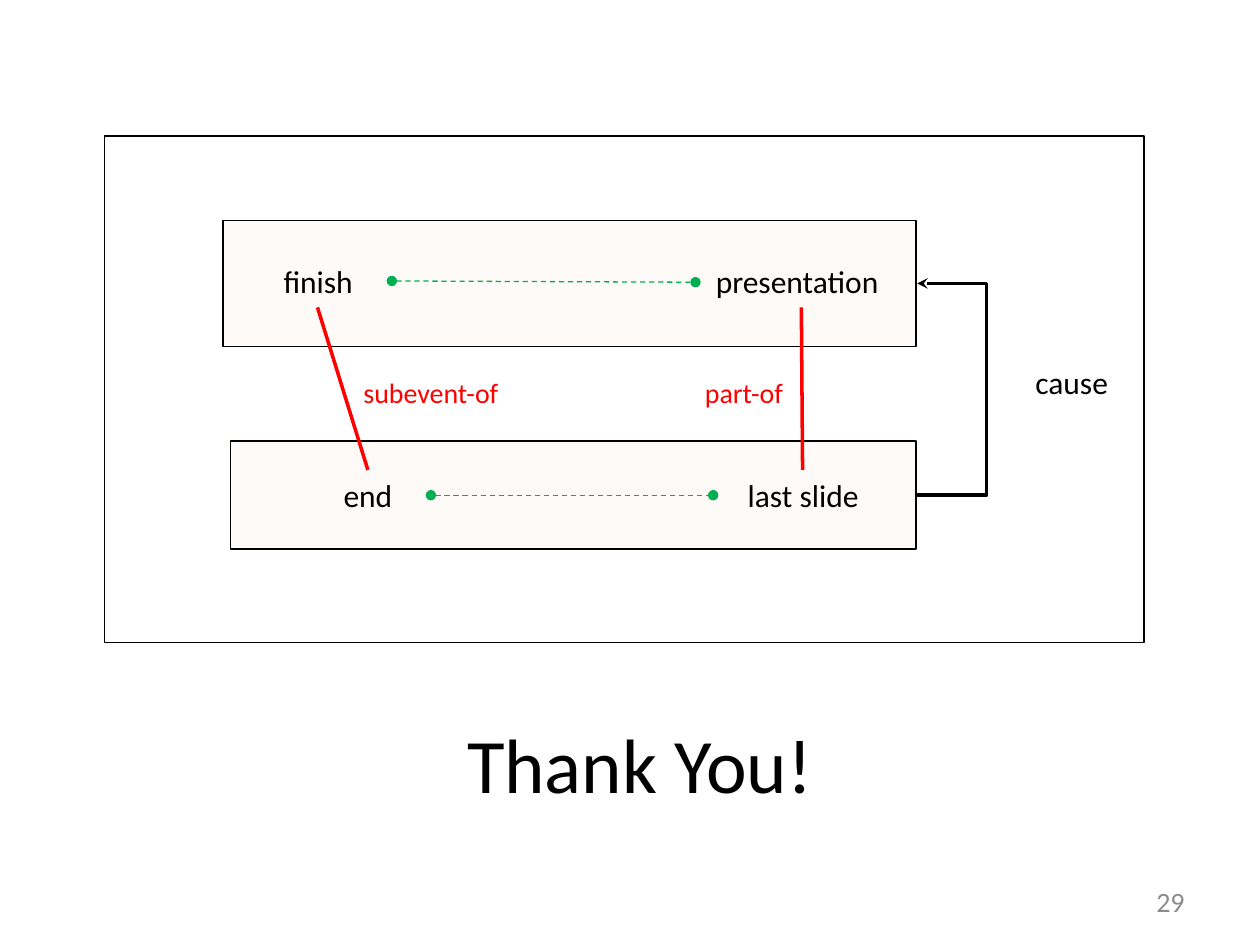
from dataclasses import dataclass

from lxml import etree
from pptx import Presentation
from pptx import util as u
from pptx.dml.color import RGBColor
from pptx.enum import dml, shapes, text
from pptx.oxml.ns import qn


@dataclass(frozen=True)
class Theme:
    """Colours, font and type sizes of the slide."""
    font: str = "Calibri"
    ink: str = "000000"
    paper: str = "FFFFFF"
    event_fill: str = "FDEADA"
    link: str = "00B050"
    relation: str = "FF0000"
    muted: str = "8C8C8C"
    title: int = 44
    term: int = 18
    small: int = 16


THEME = Theme()


def rgb(colour):
    """Turn a hex string into a colour."""
    return RGBColor.from_string(colour)


def add_label(slide, box, words, size=THEME.term, colour=THEME.ink,
              align=text.PP_ALIGN.CENTER, anchor=text.MSO_ANCHOR.TOP):
    """Place one line of text in a box of (left, top, width, height)."""
    frame = slide.shapes.add_textbox(*map(u.Inches, box)).text_frame
    frame.word_wrap = True
    frame.vertical_anchor = anchor
    paragraph = frame.paragraphs[0]
    paragraph.text = words
    paragraph.alignment = align
    paragraph.font.name = THEME.font
    paragraph.font.size = u.Pt(size)
    paragraph.font.color.rgb = rgb(colour)


def add_panel(slide, box, fill, opacity=100):
    """Draw an outlined process box, with its fill opacity in percent."""
    panel = slide.shapes.add_shape(
        shapes.MSO_SHAPE.FLOWCHART_PROCESS, *map(u.Inches, box))
    panel.shadow.inherit = False
    panel.fill.solid()
    panel.fill.fore_color.rgb = rgb(fill)
    panel.line.color.rgb = rgb(THEME.ink)
    panel.line.width = u.Pt(1)
    if opacity < 100:
        colour = panel.fill._xPr.find(".//" + qn("a:srgbClr"))
        etree.SubElement(colour, qn("a:alpha"), val=str(opacity * 1000))


def add_line(slide, start, end, colour, width, head=None, tail=None,
             dashed=False, kind=shapes.MSO_CONNECTOR.STRAIGHT):
    """Draw a connector with optional end marks and return it."""
    connector = slide.shapes.add_connector(
        kind, *map(u.Inches, (*start, *end)))
    connector.line.color.rgb = rgb(colour)
    connector.line.width = u.Pt(width)
    if dashed:
        connector.line.dash_style = dml.MSO_LINE.DASH
    outline = connector.line._get_or_add_ln()
    for tag, mark in (("a:headEnd", head), ("a:tailEnd", tail)):
        if mark:
            etree.SubElement(outline, qn(tag), type=mark)
    etree.SubElement(connector._element.spPr, qn("a:effectLst"))
    return connector


def add_event(slide, box, terms, link):
    """Draw an event box with its terms and the dashed link between them.

    Term boxes and link ends are measured from the event's top left corner.
    """
    left, top = box[:2]
    add_panel(slide, box, THEME.event_fill, opacity=20)
    for words, x, y, width in terms:
        add_label(slide, (left + x, top + y, width, 0.4), words)
    start, end = [(left + x, top + y) for x, y in link]
    add_line(slide, start, end, THEME.link, 0.75, "oval", "oval", dashed=True)


def add_relation(slide, start, end, label_box, words):
    """Draw a red line between two terms and name the relation."""
    add_line(slide, start, end, THEME.relation, 2)
    add_label(slide, label_box, words, THEME.small, THEME.relation)


def add_cause(slide, start, end, reach):
    """Draw the bent arrow that swings out to the right by reach."""
    arrow = add_line(slide, start, end, THEME.ink, 2, tail="stealth",
                     kind=shapes.MSO_CONNECTOR.ELBOW)
    geometry = arrow._element.spPr.find(qn("a:prstGeom"))
    guides = geometry.find(qn("a:avLst"))
    if guides is None:
        guides = etree.SubElement(geometry, qn("a:avLst"))
    bend = round(reach / (end[0] - start[0]) * 100000)
    etree.SubElement(guides, qn("a:gd"), name="adj1", fmla=f"val {bend}")


def add_diagram(slide, box):
    """Build the event diagram inside its frame."""
    left, top, width, height = box

    def at(x, y, *size):
        return (left + x, top + y, *size)

    add_panel(slide, box, THEME.paper)
    add_event(slide, at(1, 2.42, 5.44, 0.86),
              [("end", 0.59, 0.23, 1), ("last slide", 3.83, 0.23, 1.43)],
              [(1.59, 0.43), (3.83, 0.43)])
    add_event(slide, at(0.94, 0.67, 5.5, 1),
              [("finish", 0.17, 0.28, 1.17),
               ("presentation ", 3.75, 0.28, 1.67)],
              [(1.34, 0.48), (3.75, 0.49)])
    add_cause(slide, at(6.44, 2.85), at(6.45, 1.17), 0.57)
    add_label(slide, at(7.09, 1.75, 1.17, 0.4), "cause")
    add_relation(slide, at(1.69, 1.36), at(2.09, 2.65),
                 at(1.88, 1.85, 1.47, 0.37), "subevent-of ")
    add_relation(slide, at(5.54, 2.65), at(5.53, 1.36),
                 at(4.49, 1.85, 1.17, 0.37), "part-of")


def build():
    """Build and save the closing slide."""
    deck = Presentation()
    deck.slide_width, deck.slide_height = u.Inches(10), u.Inches(7.5)
    slide = deck.slides.add_slide(deck.slide_layouts[6])
    add_label(slide, (0.83, 5.25, 8.5, 1.61), "Thank You!", THEME.title,
              anchor=text.MSO_ANCHOR.MIDDLE)
    add_label(slide, (7.17, 6.95, 2.33, 0.4), "29", THEME.small, THEME.muted,
              text.PP_ALIGN.RIGHT, text.MSO_ANCHOR.MIDDLE)
    add_diagram(slide, (0.83, 1.08, 8.25, 4.02))
    deck.save("out.pptx")


build()
